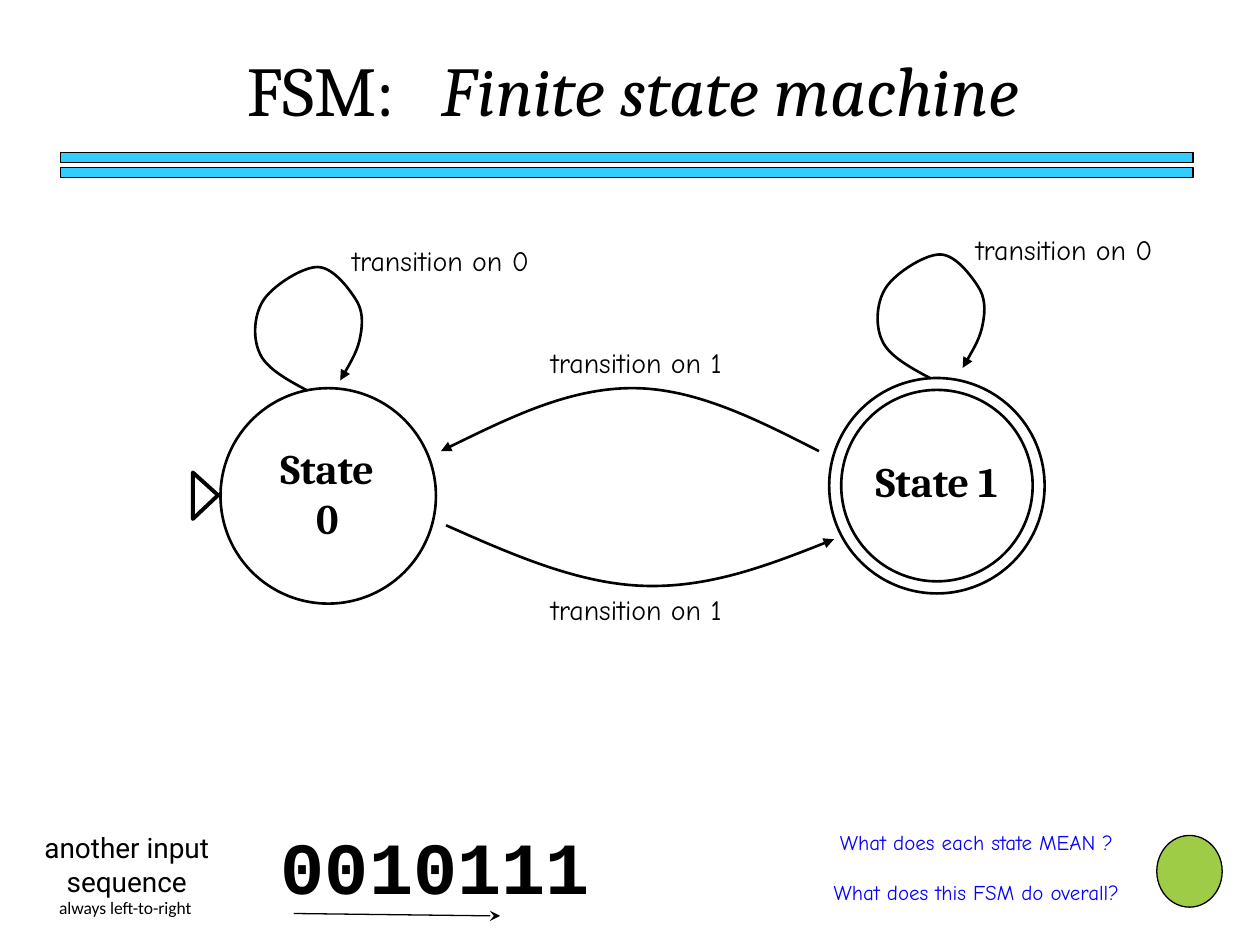
from lxml.etree import SubElement
from pptx import Presentation
from pptx.dml.color import RGBColor
from pptx.enum.shapes import MSO_CONNECTOR as Connector, MSO_SHAPE as Shape
from pptx.enum.text import MSO_ANCHOR as Anchor, PP_ALIGN as Align
from pptx.oxml.ns import qn
from pptx.util import Pt

THEME = {
    "ink": "000000", "bar": "33CCFF", "question": "0900FF", "mascot": "9ECC46",
    "serif": "Cambria", "hand": "Comic Neue", "code": "Courier New",
    "sans": "Roboto", "note": "Calibri",
    "title": 40, "digits": 42, "state": 24, "label": 16, "small": 12, "tiny": 10,
    "thin": 0.75, "stroke": 1.5, "thick": 2.25, "title_gap": 18,
}

TITLE = [("FSM:", False), ("Finite state machine", True)]
TITLE_BOX = (55.4, 23, 612.7, 55.4)
BAR_LEFT, BAR_TOP, BAR_WIDTH, BAR_HEIGHT, BAR_PITCH = 34.5, 87.1, 647.3, 5.8, 8.5
CIRCLES = [(126, 221.8, 123.1), (473.8, 216, 123.1), (480.7, 222.8, 109.4)]
MASCOT = (661, 477.4, 37.4, 41)
START_MARK = [(110.2, 270), (110.2, 296.6), (124.6, 283), (110.2, 270)]

STATES = [("State 0", (147, 263.5, 80, 36)), ("State 1", (483.2, 257, 104, 36))]
TRANSITIONS = [
    ("transition on 0", (189.4, 135.4, 124.6, 26.6)),
    ("transition on 0", (545.8, 129.2, 124.6, 26.6)),
    ("transition on 1", (302.4, 334.8, 122.4, 26.6)),
    ("transition on 1", (302.4, 193.7, 122.4, 26.6)),
]
QUESTIONS = [
    ("What does each state MEAN ?", (420, 470.2, 223.2, 21.6)),
    ("What does this FSM do overall?", (423.4, 499, 223.2, 21.6)),
]
CROSSINGS = [
    [(254.9, 300.2), (292.3, 316.8), (329.8, 333.4), (367.2, 334.8),
     (403.9, 336.2), (440.6, 322.6), (476.6, 308.2)],
    [(468, 257.8), (432.7, 239.8), (397.4, 221.8), (361.4, 221.8),
     (325.4, 221.8), (288.7, 239.8), (252, 257.8)],
]
LOOP = [
    (31.7, 70.6), (19.4, 64.1), (7.9, 57.6), (4.3, 49),
    (0, 39.6), (1.4, 25.9), (7.2, 18), (13, 10.1), (28.8, 0), (37.4, 0),
    (46.1, 0), (54.7, 11.5), (59, 18), (63.4, 24.5), (63.4, 31.7), (61.9, 39.6),
    (60.5, 47.5), (55.4, 56.2), (50.4, 64.8),
]
LOOP_ORIGINS = [(144, 152.6), (499.7, 145.4)]


def color(name):
    return RGBColor.from_string(THEME[name])


def place(shape, box):
    shape.left, shape.top, shape.width, shape.height = map(Pt, box)


def format_run(run, font, size, ink="ink", bold=False, italic=False):
    run.font.name = THEME[font]
    run.font.size = Pt(THEME[size])
    run.font.color.rgb = color(ink)
    run.font.bold, run.font.italic = bold, italic


def add_text(slide, text, box, align=Align.CENTER, anchor=Anchor.TOP, wrap=True, **style):
    frame = slide.shapes.add_textbox(*map(Pt, box)).text_frame
    frame.word_wrap, frame.vertical_anchor = wrap, anchor
    paragraph = frame.paragraphs[0]
    paragraph.alignment = align
    run = paragraph.add_run()
    run.text = text
    format_run(run, **style)


def draw_line(shape, width="stroke", arrow=None):
    shape.line.color.rgb = color("ink")
    shape.line.width = Pt(THEME[width])
    if arrow:
        SubElement(shape.element.spPr.find(qn("a:ln")), qn("a:tailEnd"), type=arrow)


def add_preset(slide, kind, box, fill=None, width="stroke"):
    shape = slide.shapes.add_shape(kind, *map(Pt, box))
    shape.shadow.inherit = False
    if fill:
        shape.fill.solid()
        shape.fill.fore_color.rgb = color(fill)
    else:
        shape.fill.background()
    draw_line(shape, width)


def add_outline(slide, points, curved=False, **line):
    points = [(Pt(x), Pt(y)) for x, y in points]
    builder = slide.shapes.build_freeform(*points[0])
    builder.add_line_segments(points[1:], close=not curved)
    shape = builder.convert_to_shape()
    shape.shadow.inherit = False
    shape.fill.background()
    draw_line(shape, **line)
    if curved:
        outline = next(shape.element.iter(qn("a:path")))
        segments = outline.findall(qn("a:lnTo"))
        for first in range(0, len(segments), 3):
            curve = SubElement(outline, qn("a:cubicBezTo"))
            for segment in segments[first:first + 3]:
                curve.append(segment[0])
                outline.remove(segment)


def add_title(slide):
    title = slide.shapes.title
    place(title, TITLE_BOX)
    title.text_frame.vertical_anchor = Anchor.TOP
    paragraph = title.text_frame.paragraphs[0]
    paragraph.alignment = Align.CENTER
    (name, plain), (meaning, slanted) = TITLE
    for text, italic in [(name, plain), (" ", plain), (meaning, slanted)]:
        run = paragraph.add_run()
        run.text = text
        format_run(run, "serif", "title", italic=italic)
        if text == " ":
            run.font._element.set("spc", str(THEME["title_gap"] * 100))


def main():
    presentation = Presentation()
    presentation.slide_width, presentation.slide_height = Pt(720), Pt(540)
    slide = presentation.slides.add_slide(presentation.slide_layouts[5])
    add_title(slide)

    for row in range(2):
        bar = (BAR_LEFT, BAR_TOP + row * BAR_PITCH, BAR_WIDTH, BAR_HEIGHT)
        add_preset(slide, Shape.RECTANGLE, bar, "bar", "thin")
    for left, top, diameter in CIRCLES:
        add_preset(slide, Shape.OVAL, (left, top, diameter, diameter))
    add_preset(slide, Shape.OVAL, MASCOT, "mascot", "thin")
    add_outline(slide, START_MARK, width="thick")

    loops = [[(x + left, y + top) for x, y in LOOP] for left, top in LOOP_ORIGINS]
    for points in CROSSINGS + loops:
        add_outline(slide, points, curved=True, arrow="triangle")

    for text, box in STATES:
        add_text(slide, text, box, anchor=Anchor.MIDDLE, wrap=text == "State 0",
                 font="serif", size="state", bold=True)
    for text, box in TRANSITIONS:
        add_text(slide, text, box, anchor=Anchor.MIDDLE, wrap=False, font="hand", size="label")
    for text, box in QUESTIONS:
        add_text(slide, text, box, align=Align.RIGHT, font="hand", size="small", ink="question")

    add_text(slide, "0010111", (153.4, 465.8, 264.2, 57.6), align=Align.LEFT,
             font="code", size="digits", bold=True)
    add_text(slide, "another input sequence", (13, 470.9, 118.8, 46.1),
             anchor=Anchor.MIDDLE, font="sans", size="label")
    add_text(slide, "always left-to-right", (25.9, 509, 91.4, 19.4), wrap=False,
             font="note", size="tiny")

    arrow = slide.shapes.add_connector(Connector.STRAIGHT, *map(Pt, (167.8, 522, 285.8, 523.4)))
    draw_line(arrow, "thin", "stealth")
    SubElement(arrow.element.spPr, qn("a:effectLst"))
    presentation.save("out.pptx")


if __name__ == "__main__":
    main()
